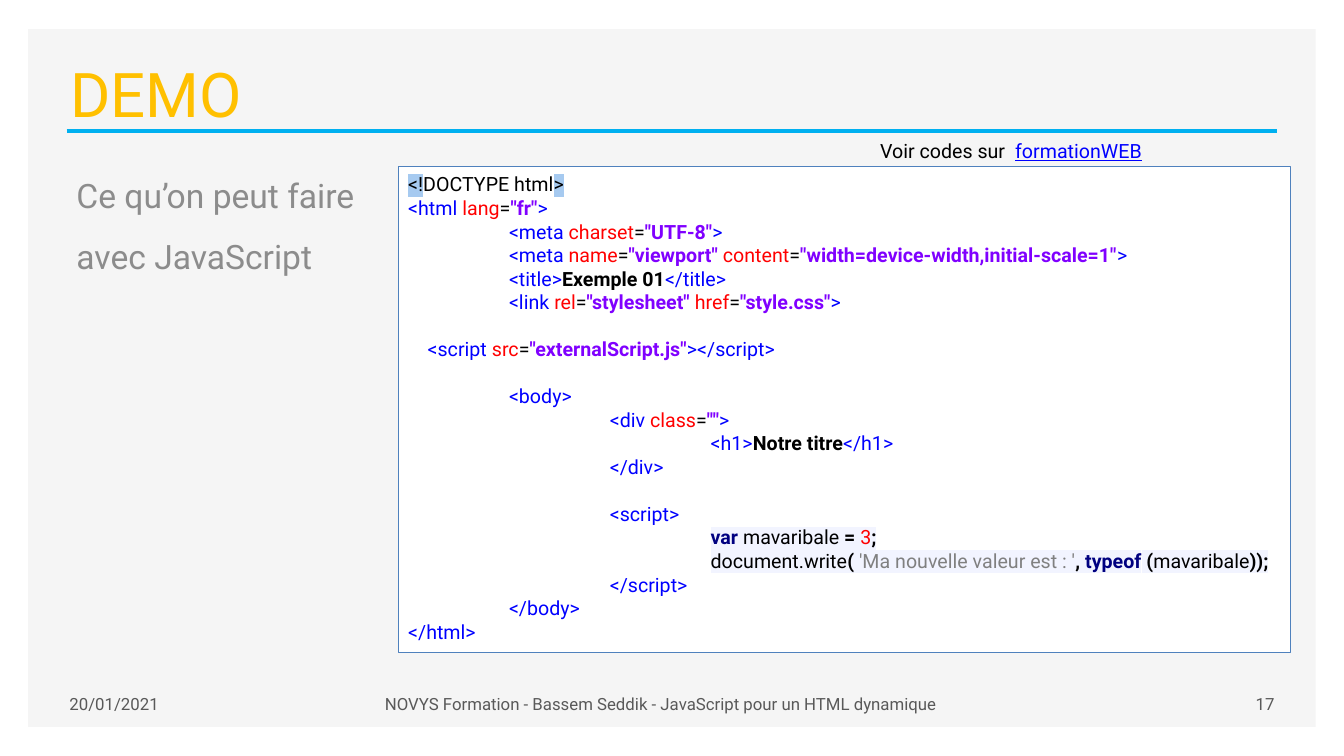
import pptx
import pptx.util
import pptx.dml.color
import pptx.enum.shapes
import pptx.enum.text
import pptx.oxml.ns
from lxml import etree

Inches, Pt = pptx.util.Inches, pptx.util.Pt
RGBColor = pptx.dml.color.RGBColor
qn = pptx.oxml.ns.qn
ALIGN = pptx.enum.text.PP_ALIGN
ANCHOR = pptx.enum.text.MSO_ANCHOR
RECTANGLE = pptx.enum.shapes.MSO_SHAPE.RECTANGLE

FONT = "Roboto"
BLACK = RGBColor(0x00, 0x00, 0x00)
WHITE = RGBColor(0xFF, 0xFF, 0xFF)
PANEL = RGBColor(0xF5, 0xF5, 0xF5)
RULE = RGBColor(0x00, 0xB0, 0xF0)
AMBER = RGBColor(0xFF, 0xC0, 0x00)
GREY = RGBColor(0x8C, 0x8C, 0x8C)
FOOTER = RGBColor(0x59, 0x59, 0x59)
BORDER = RGBColor(0x4F, 0x81, 0xBD)
BLUE = RGBColor(0x00, 0x00, 0xFF)
RED = RGBColor(0xFF, 0x00, 0x00)
VIOLET = RGBColor(0x80, 0x00, 0xFF)
NAVY = RGBColor(0x00, 0x00, 0x80)
STRING_GREY = RGBColor(0x80, 0x80, 0x80)
MARK = RGBColor(0xA6, 0xCA, 0xF0)
JS_BACK = RGBColor(0xF2, 0xF4, 0xFF)

# Code styles: colour, bold, highlight
PLAIN = (BLACK, False, None)
STRONG = (BLACK, True, None)
TAG = (BLUE, False, None)
ATTR = (RED, False, None)
VALUE = (VIOLET, True, None)
MARKED = (BLACK, False, MARK)
JS = (BLACK, False, JS_BACK)
JS_SIGN = (BLACK, True, JS_BACK)
JS_WORD = (NAVY, True, JS_BACK)
JS_NUMBER = (RED, False, JS_BACK)
JS_STRING = (STRING_GREY, False, JS_BACK)

CODE_SIZE = 14
CODE_LINE = Pt(16.8)
CODE_TAB = Inches(1)

# An empty entry is a blank line of code
code = [
    [("<!", MARKED), ("DOCTYPE html", PLAIN), (">", MARKED)],
    [("<html ", TAG), ("lang", ATTR), ("=", PLAIN), ('"fr"', VALUE), (">", TAG)],
    [("\t<meta ", TAG), ("charset", ATTR), ("=", PLAIN), ('"UTF-8"', VALUE), (">", TAG)],
    [("\t<meta ", TAG), ("name", ATTR), ("=", PLAIN), ('"viewport"', VALUE),
     (" content", ATTR), ("=", PLAIN),
     ('"width=device-width,initial-scale=1"', VALUE), (">", TAG)],
    [("\t<title>", TAG), ("Exemple 01", STRONG), ("</title>", TAG)],
    [("\t<link ", TAG), ("rel", ATTR), ("=", PLAIN), ('"stylesheet"', VALUE),
     (" href", ATTR), ("=", PLAIN), ('"style.css"', VALUE), (">", TAG)],
    [],
    [("    <script ", TAG), ("src", ATTR), ("=", PLAIN),
     ('"externalScript.js"', VALUE), ("></script>", TAG)],
    [],
    [("\t<body>", TAG)],
    [("\t\t<div ", TAG), ("class", ATTR), ("=", PLAIN), ('""', VALUE), (">", TAG)],
    [("\t\t\t<h1>", TAG), ("Notre titre", STRONG), ("</h1>", TAG)],
    [("\t\t</div>", TAG)],
    [],
    [("\t\t<script>", TAG)],
    [("\t\t\t", PLAIN), ("var", JS_WORD), (" mavaribale ", JS), ("=", JS_SIGN),
     (" ", JS), ("3", JS_NUMBER), (";", JS_SIGN)],
    [("\t\t\t", PLAIN), ("document.write", JS), ("(", JS_SIGN), (" ", JS),
     ("'Ma nouvelle valeur est : '", JS_STRING), (",", JS_SIGN), (" ", JS),
     ("typeof", JS_WORD), (" ", JS), ("(", JS_SIGN), ("mavaribale", JS),
     ("));", JS_SIGN)],
    [("\t\t</script>", TAG)],
    [("\t</body>", TAG)],
    [("</html>", TAG)],
]

prs = pptx.Presentation()
prs.slide_width, prs.slide_height = Inches(13.33), Inches(7.5)
s = prs.slides.add_slide(prs.slide_layouts[6])


def add_text(text, left, top, width, height, size, color,
             align=ALIGN.LEFT, anchor=ANCHOR.TOP):
    """Add a wrapped one-paragraph text box and return its paragraph."""
    tf = s.shapes.add_textbox(Inches(left), Inches(top),
                              Inches(width), Inches(height)).text_frame
    tf.word_wrap = True
    tf.vertical_anchor = anchor
    p = tf.paragraphs[0]
    p.alignment = align
    p.font.name, p.font.size, p.font.color.rgb = FONT, Pt(size), color
    p.add_run().text = text
    return p


def add_rectangle(left, top, width, height, fill):
    sp = s.shapes.add_shape(RECTANGLE, Inches(left), Inches(top),
                            Inches(width), Inches(height))
    sp.shadow.inherit = False
    sp.fill.solid()
    sp.fill.fore_color.rgb = fill
    return sp


# Background panel and title rule
add_rectangle(0.28, 0.29, 12.77, 6.92, PANEL).line.fill.background()
rule = s.shapes.add_connector(pptx.enum.shapes.MSO_CONNECTOR.STRAIGHT,
                              Inches(0.66), Inches(1.3), Inches(12.67), Inches(1.3))
rule.line.color.rgb = RULE
rule.line.width = Pt(2.25)
etree.SubElement(rule._element.spPr, qn("a:effectLst"))

# Title and subtitle
add_text("DEMO", 0.6, 0.41, 3.34, 0.93, 44, AMBER, anchor=ANCHOR.BOTTOM)
p = add_text("Ce qu’on peut faire avec JavaScript", 0.66, 1.49, 3.12, 1.77, 24, GREY)
p.line_spacing = 1.5

# Footer
for text, left, width, align in [
    ("20/01/2021", 0.59, 1.68, ALIGN.LEFT),
    ("NOVYS Formation - Bassem Seddik - JavaScript pour un HTML dynamique",
     2.27, 8.57, ALIGN.CENTER),
    ("17", 10.84, 1.9, ALIGN.RIGHT),
]:
    add_text(text, left, 6.78, width, 0.4, 12, FOOTER, align, ANCHOR.MIDDLE)

# Reference to the code folder, with the link at a tab stop
p = add_text("Voir codes sur\t", 8.63, 1.33, 4.11, 0.34, CODE_SIZE, BLACK)
tabs = etree.Element(qn("a:tabLst"))
etree.SubElement(tabs, qn("a:tab"), pos=str(Inches(1.34)), algn="l")
p._p.get_or_add_pPr().insert(0, tabs)
r = p.add_run()
r.text = "formationWEB"
r.font.color.rgb = BLUE
r.font.underline = True

# Code listing
sp = add_rectangle(3.95, 1.65, 8.85, 4.82, WHITE)
sp.line.color.rgb = BORDER
sp.line.width = Pt(0.75)
tf = sp.text_frame
tf.word_wrap = True
tf.vertical_anchor = ANCHOR.TOP
tf.margin_top = Inches(0.06)
after_blank = False
for i, line in enumerate(code):
    if not line:
        after_blank = True
        continue
    p = tf.add_paragraph() if i else tf.paragraphs[0]
    p.alignment = ALIGN.LEFT
    p._p.get_or_add_pPr().set("defTabSz", str(CODE_TAB))
    if after_blank:
        p.space_before = CODE_LINE
        after_blank = False
    p.font.name, p.font.size = FONT, Pt(CODE_SIZE)
    for text, (color, bold, highlight) in line:
        r = p.add_run()
        r.text = text
        r.font.color.rgb = color
        r.font.bold = bold
        if highlight:
            mark = etree.SubElement(r.font._element, qn("a:highlight"))
            etree.SubElement(mark, qn("a:srgbClr"), val=str(highlight))

prs.save("out.pptx")
